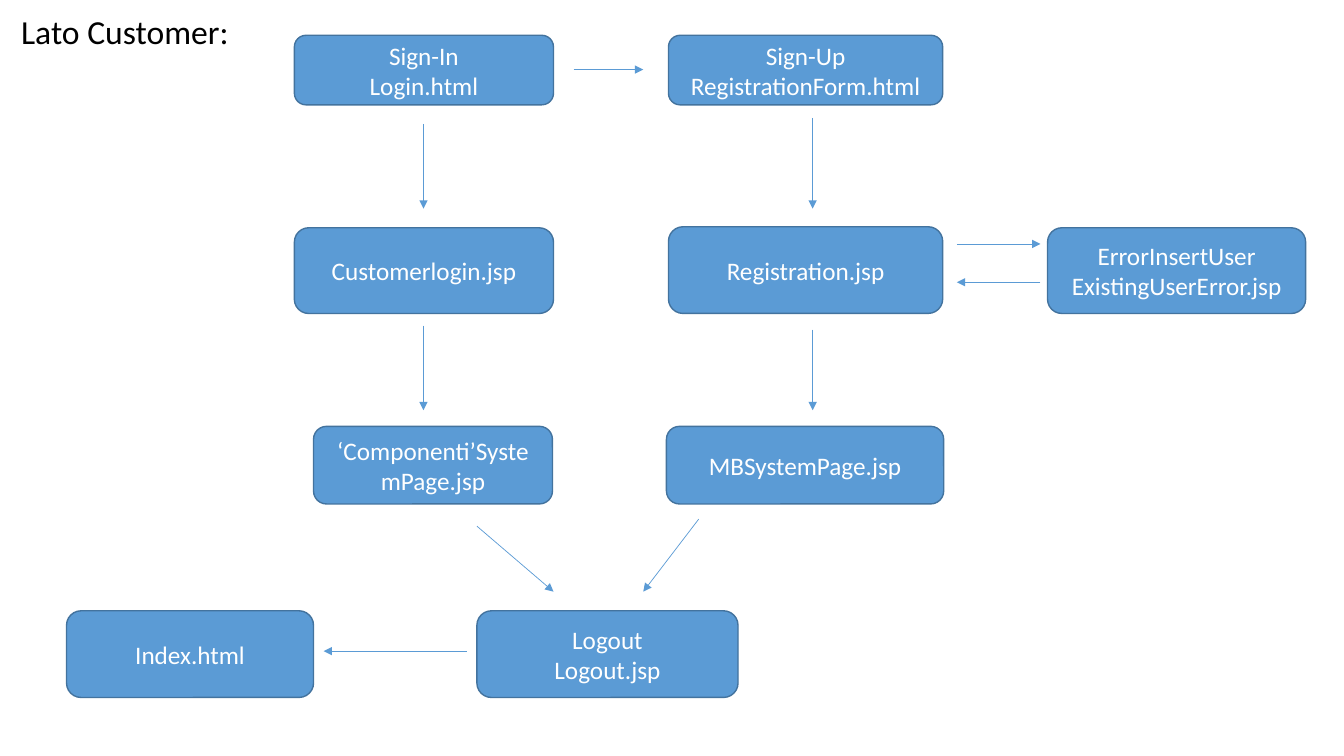
from pptx import Presentation
from pptx.dml.color import RGBColor
from pptx.enum.shapes import MSO_CONNECTOR, MSO_SHAPE
from pptx.enum.text import MSO_ANCHOR, MSO_AUTO_SIZE, PP_ALIGN
from pptx.oxml.ns import qn
from pptx.util import Inches, Pt
from lxml import etree

BLUE = RGBColor(0x5B, 0x9B, 0xD5)
EDGE = RGBColor(0x43, 0x73, 0x9E)
WHITE = RGBColor(0xFF, 0xFF, 0xFF)
BLACK = RGBColor(0x00, 0x00, 0x00)
FONT = "Calibri"
ROUND = MSO_SHAPE.ROUNDED_RECTANGLE
LINE = MSO_CONNECTOR.STRAIGHT
TOP, MIDDLE = MSO_ANCHOR.TOP, MSO_ANCHOR.MIDDLE
LEFT, CENTER = PP_ALIGN.LEFT, PP_ALIGN.CENTER
FIXED = MSO_AUTO_SIZE.NONE


def style(frame, size, color, align):
    for para in frame.paragraphs:
        para.alignment = align
        for run in para.runs:
            run.font.name = FONT
            run.font.size = Pt(size)
            run.font.color.rgb = color


deck = Presentation()
deck.slide_width = Inches(13.33)
deck.slide_height = Inches(7.5)
slide = deck.slides.add_slide(deck.slide_layouts[5])

title = slide.shapes.title
title.left, title.top = Inches(0.11), Inches(0.1)
title.width, title.height = Inches(13.04), Inches(7.24)
frame = title.text_frame
frame.text = "Lato Customer:"
frame.word_wrap = True
frame.auto_size = FIXED
frame.vertical_anchor = TOP
frame.paragraphs[0].line_spacing = 0.9
frame.paragraphs[0].space_before = Pt(10)
style(frame, 24, BLACK, LEFT)

pages = [
    ("Sign-In\nLogin.html", 2.92, 0.35, 2.57, 0.69),
    ("Sign-Up\nRegistrationForm.html", 6.63, 0.35, 2.72, 0.69),
    ("Customerlogin.jsp", 2.92, 2.26, 2.57, 0.85),
    ("Registration.jsp", 6.63, 2.25, 2.72, 0.86),
    ("ErrorInsertUser\nExistingUserError.jsp", 10.39, 2.26, 2.56, 0.85),
    ("‘Componenti’SystemPage.jsp", 3.11, 4.23, 2.37, 0.77),
    ("MBSystemPage.jsp", 6.61, 4.23, 2.75, 0.77),
    ("Index.html", 0.66, 6.06, 2.45, 0.86),
    ("Logout\nLogout.jsp", 4.73, 6.06, 2.59, 0.86),
]
for text, *place in pages:
    box = slide.shapes.add_shape(ROUND, *map(Inches, place))
    box.shadow.inherit = False
    box.fill.solid()
    box.fill.fore_color.rgb = BLUE
    box.line.color.rgb = EDGE
    box.line.width = Pt(1)
    frame = box.text_frame
    frame.text = text
    frame.word_wrap = True
    frame.vertical_anchor = MIDDLE
    style(frame, 18, WHITE, CENTER)

arrows = [
    (5.69, 0.69, 6.38, 0.69),
    (4.2, 1.23, 4.2, 2.07),
    (8.06, 1.17, 8.06, 2.07),
    (9.49, 2.42, 10.32, 2.42),
    (10.32, 2.8, 9.49, 2.8),
    (4.2, 3.23, 4.2, 4.07),
    (8.06, 3.27, 8.06, 4.07),
    (4.73, 5.22, 5.49, 5.87),
    (6.93, 5.15, 6.38, 5.87),
    (4.63, 6.46, 3.21, 6.46),
]
for ends in arrows:
    arrow = slide.shapes.add_connector(LINE, *map(Inches, ends))
    arrow.line.color.rgb = BLUE
    arrow.line.width = Pt(0.5)
    props = arrow.element.spPr
    etree.SubElement(props.find(qn("a:ln")), qn("a:tailEnd"), type="triangle")
    etree.SubElement(props, qn("a:effectLst"))

deck.save("out.pptx")
